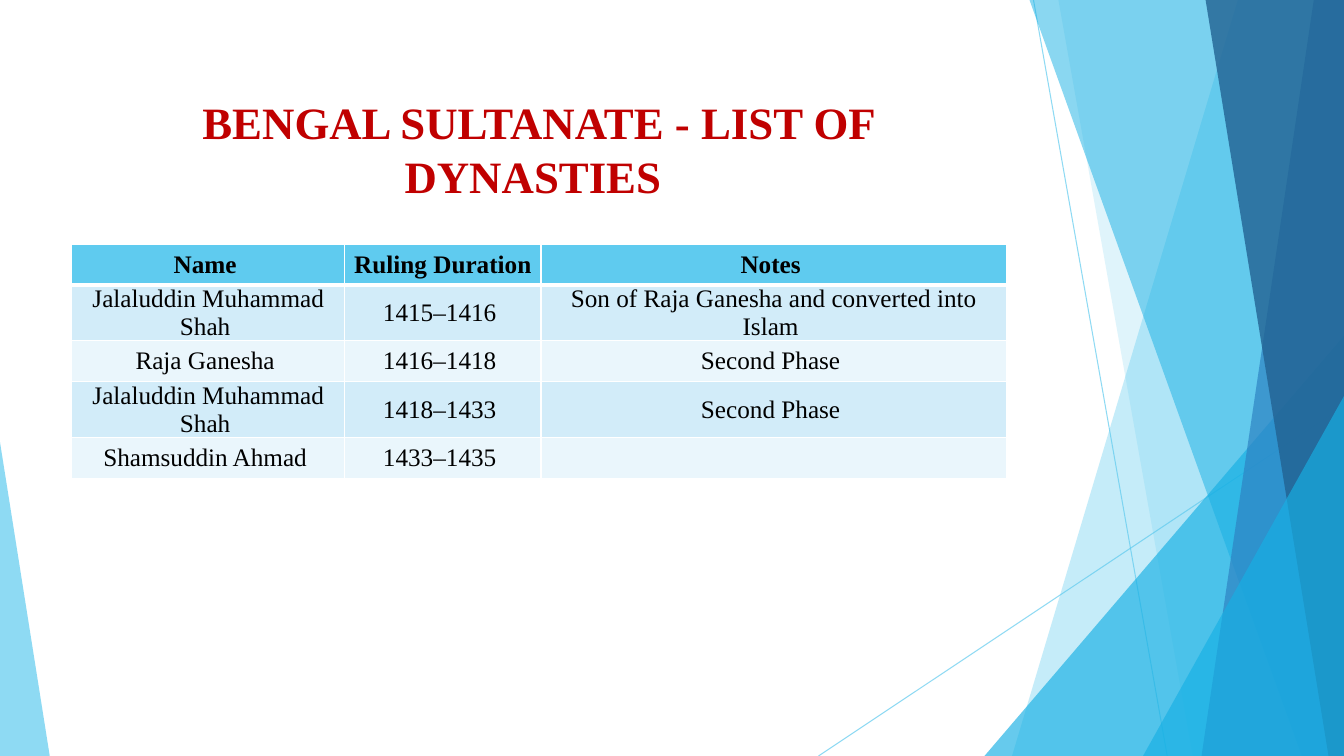
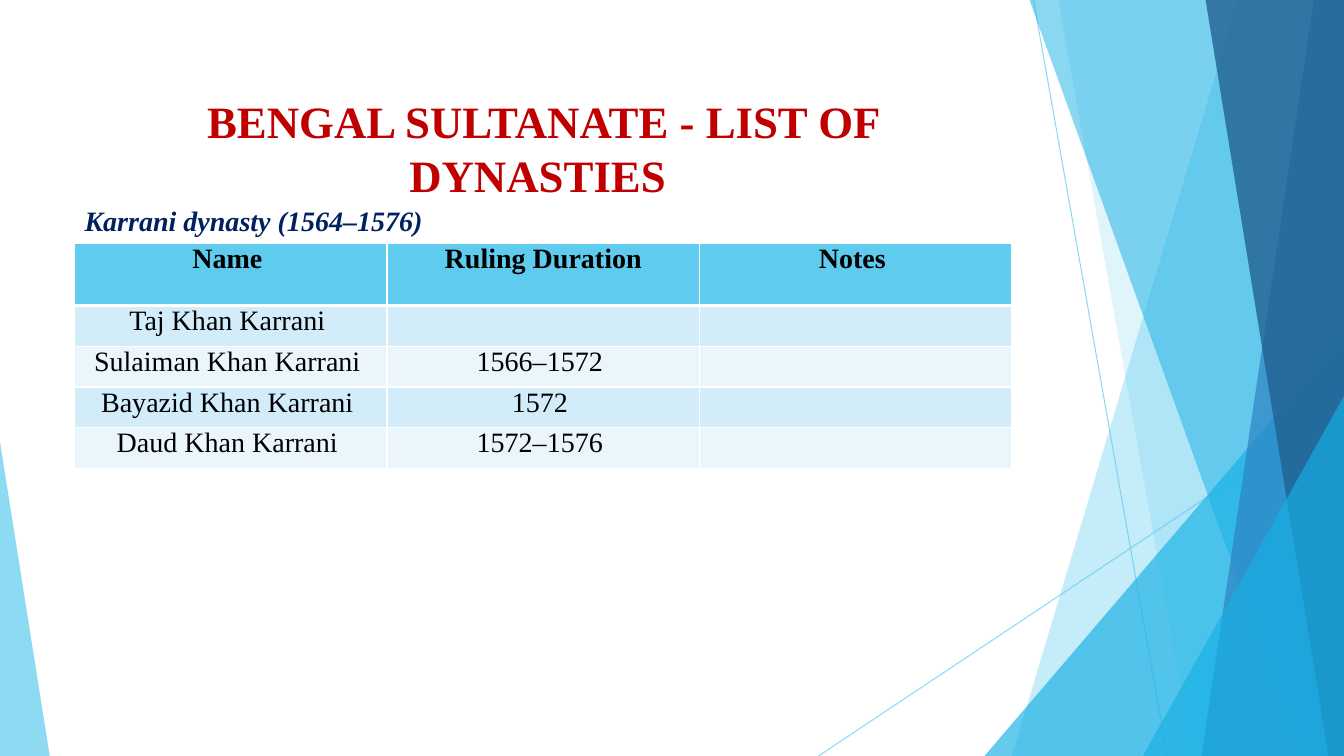
from dataclasses import dataclass

import pptx
import pptx.dml.color
import pptx.enum.shapes
import pptx.enum.text
import pptx.oxml
import pptx.oxml.ns
import pptx.util

ALIGN = pptx.enum.text.PP_ALIGN
ANCHOR = pptx.enum.text.MSO_ANCHOR
AUTO_SIZE = pptx.enum.text.MSO_AUTO_SIZE
NAMESPACE = pptx.oxml.ns.nsdecls("a")


@dataclass(frozen=True)
class Theme:
    font: str = "Times New Roman"
    sky: str = "5FCBEF"
    cyan: str = "17B0E4"
    blue: str = "2E83C3"
    navy: str = "226292"
    white: str = "FFFFFF"
    title: str = "C00000"
    caption: str = "002060"
    text: str = "000000"
    bands: tuple = ("D2ECF9", "EAF6FC")
    title_size: int = 32
    caption_size: int = 20
    hairline: float = 0.75
    cell_border: int = 1
    header_border: int = 3
    cell_margin: float = 0.07


def apply_format(target, values):
    for name, value in values.items():
        setattr(target, name, value)


def rgb(color):
    return pptx.dml.color.RGBColor.from_string(color)


def set_opacity(shape, percent):
    for color in shape.element.xpath("./p:spPr//a:srgbClr"):
        color.append(pptx.oxml.parse_xml(f'<a:alpha {NAMESPACE} val="{percent * 1000}"/>'))


class SlideBuilder:
    def __init__(self, theme):
        self.theme = theme
        self.deck = pptx.Presentation()
        self.deck.slide_width = pptx.util.Inches(13.33)
        self.deck.slide_height = pptx.util.Inches(7.5)
        self.layout = self.deck.slide_layouts[5]
        self.page = None

    def x(self, percent):
        return round(self.deck.slide_width * percent / 100)

    def y(self, percent):
        return round(self.deck.slide_height * percent / 100)

    def area(self, left, top, width, height):
        return self.x(left), self.y(top), self.x(width), self.y(height)

    def add_page(self):
        self.page = self.deck.slides.add_slide(self.layout)

    def add_text(self, frame, text, size, color, align, bold=False, italic=False):
        para = frame.paragraphs[0]
        para.alignment = align
        span = para.add_run()
        span.text = text
        apply_format(span.font, {
            "name": self.theme.font, "size": pptx.util.Pt(size), "bold": bold, "italic": italic,
        })
        span.font.color.rgb = rgb(color)

    def title(self, text, area):
        box = self.page.shapes.title
        apply_format(box, dict(zip(("left", "top", "width", "height"), self.area(*area))))
        apply_format(box.text_frame, {
            "word_wrap": True, "auto_size": AUTO_SIZE.NONE, "vertical_anchor": ANCHOR.TOP,
        })
        self.add_text(box.text_frame, text, self.theme.title_size, self.theme.title,
                      ALIGN.CENTER, bold=True)

    def caption(self, text, area):
        box = self.page.shapes.add_textbox(*self.area(*area))
        apply_format(box.text_frame, {
            "word_wrap": False, "auto_size": AUTO_SIZE.SHAPE_TO_FIT_TEXT,
        })
        self.add_text(box.text_frame, text, self.theme.caption_size, self.theme.caption,
                      ALIGN.JUSTIFY, bold=True, italic=True)

    def hairline(self, start, end):
        line = self.page.shapes.add_connector(
            pptx.enum.shapes.MSO_CONNECTOR.STRAIGHT,
            self.x(start[0]), self.y(start[1]), self.x(end[0]), self.y(end[1]))
        line.line.color.rgb = rgb(self.theme.sky)
        line.line.width = pptx.util.Pt(self.theme.hairline)
        set_opacity(line, 70)
        line.element.spPr.append(pptx.oxml.parse_xml(f"<a:effectLst {NAMESPACE}/>"))

    def tint(self, shape, color, opacity):
        shape.shadow.inherit = False
        shape.fill.solid()
        shape.fill.fore_color.rgb = rgb(color)
        shape.line.fill.background()
        set_opacity(shape, opacity)

    def shard(self, top_left, bottom_left, color, opacity):
        outline = self.page.shapes.build_freeform(self.x(top_left), 0)
        corners = ((100, 0), (100, 100), (bottom_left, 100))
        outline.add_line_segments([(self.x(h), self.y(v)) for h, v in corners], close=True)
        self.tint(outline.convert_to_shape(), color, opacity)

    def wedge(self, left, right, top, apex, color, opacity):
        shape = self.page.shapes.add_shape(
            pptx.enum.shapes.MSO_SHAPE.ISOSCELES_TRIANGLE,
            *self.area(left, top, right - left, 100 - top))
        shape.adjustments[0] = apex
        self.tint(shape, color, opacity)

    def backdrop(self):
        theme = self.theme
        self.hairline((76.9, 0), (86.85, 100))
        self.hairline((100, 53.7), (60.9, 100))
        self.shard(92.1, 75.3, theme.sky, 36)
        self.shard(78.75, 88.75, theme.sky, 20)
        self.wedge(73.25, 100, 44.4, 1, theme.cyan, 66)
        self.shard(76.6, 96.85, theme.cyan, 50)
        self.shard(97.75, 89.4, theme.blue, 70)
        self.shard(89.7, 98.85, theme.navy, 80)
        self.wedge(85.05, 100, 52.4, 1, theme.cyan, 66)
        self.wedge(0, 3.7, 58.5, 0, theme.sky, 70)

    def share_backdrop(self):
        self.backdrop()
        drawn = [shape for shape in self.page.shapes if not shape.is_placeholder]
        for number, shape in enumerate(drawn, start=100):
            shape.element.xpath(".//p:cNvPr")[0].set("id", str(number))
            self.layout.shapes.element.append(shape.element)

    def borders(self, cell, is_header):
        theme = self.theme
        bottom = theme.header_border if is_header else theme.cell_border
        for side, points in zip("LRTB", (theme.cell_border,) * 3 + (bottom,)):
            cell._tc.get_or_add_tcPr().append(pptx.oxml.parse_xml(
                f'<a:ln{side} {NAMESPACE} w="{pptx.util.Pt(points)}"><a:solidFill>'
                f'<a:srgbClr val="{theme.white}"/></a:solidFill></a:ln{side}>'))

    def table(self, rows, left, top, columns, header_height, row_height, size, anchor):
        theme = self.theme
        heights = [header_height] + [row_height] * (len(rows) - 1)
        table = self.page.shapes.add_table(
            len(rows), len(columns),
            *self.area(left, top, sum(columns), sum(heights))).table
        for column, width in zip(table.columns, columns):
            column.width = self.x(width)
        margin = pptx.util.Inches(theme.cell_margin)
        for index, (row, height, texts) in enumerate(zip(table.rows, heights, rows)):
            row.height = self.y(height)
            is_header = index == 0
            color = theme.sky if is_header else theme.bands[(index - 1) % 2]
            for cell, text in zip(row.cells, texts):
                self.borders(cell, is_header)
                cell.fill.solid()
                cell.fill.fore_color.rgb = rgb(color)
                apply_format(cell, {
                    "margin_left": margin, "margin_right": margin,
                    "margin_top": 0, "margin_bottom": 0, "vertical_anchor": anchor,
                })
                if text:
                    self.add_text(cell.text_frame, text, size, theme.text,
                                  ALIGN.CENTER, bold=is_header)


TITLE = "BENGAL SULTANATE - LIST OF DYNASTIES "
HEADER = ("Name ", "Ruling Duration", "Notes ")
GANESHA_RULERS = (
    HEADER,
    ("Jalaluddin Muhammad Shah ", "1415–1416 ", "Son of Raja Ganesha and converted into Islam "),
    ("Raja Ganesha ", "1416–1418 ", "Second Phase "),
    ("Jalaluddin Muhammad Shah ", "1418–1433 ", "Second Phase "),
    ("Shamsuddin Ahmad ", "1433–1435 ", ""),
)
KARRANI_RULERS = (
    HEADER,
    ("Taj Khan Karrani ", "", ""),
    ("Sulaiman Khan Karrani ", "1566–1572 ", ""),
    ("Bayazid Khan Karrani ", "1572 ", ""),
    ("Daud Khan Karrani ", "1572–1576 ", ""),
)


def main():
    builder = SlideBuilder(Theme())

    builder.add_page()
    builder.share_backdrop()
    builder.title(TITLE, (5.3, 11.9, 69.55, 16.1))
    builder.table(GANESHA_RULERS, left=5.35, top=32.3, columns=(20.3, 14.6, 34.65),
                  header_height=5.4, row_height=5.4, size=18, anchor=ANCHOR.MIDDLE)

    builder.add_page()
    builder.title(TITLE, (5.55, 11.75, 69.75, 14.7))
    builder.table(KARRANI_RULERS, left=5.55, top=32.2, columns=(23.25,) * 3,
                  header_height=8.2, row_height=5.4, size=20, anchor=ANCHOR.TOP)
    builder.caption("Karrani dynasty (1564–1576) ", (5.55, 26.3, 27.4, 5.9))

    builder.deck.save("out.pptx")


if __name__ == "__main__":
    main()
